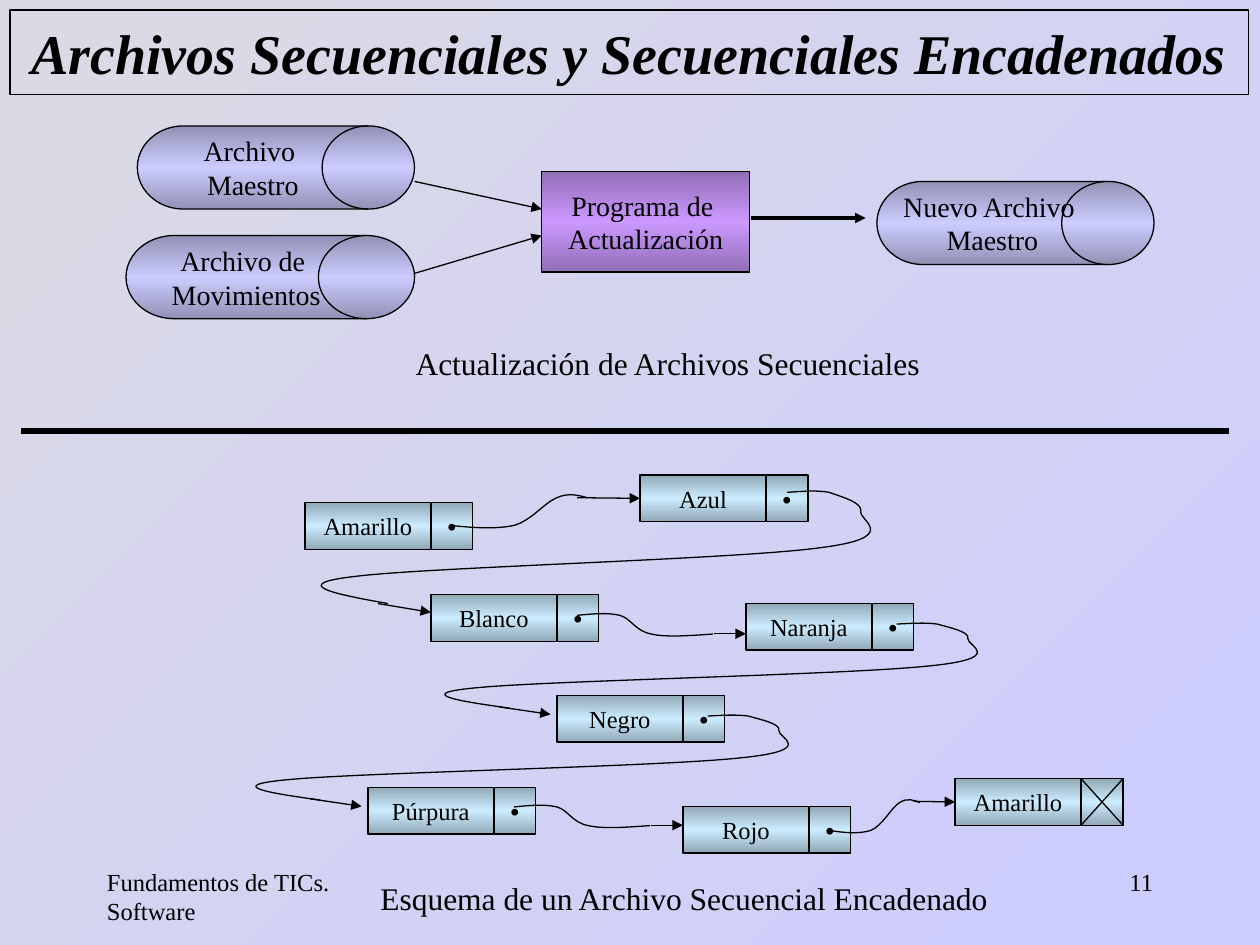
from dataclasses import dataclass

from lxml.etree import SubElement
from pptx import Presentation
from pptx.dml.color import RGBColor
from pptx.enum.shapes import MSO_CONNECTOR, MSO_SHAPE
from pptx.enum.text import MSO_ANCHOR as Anchor, PP_ALIGN as Align
from pptx.oxml.ns import qn
from pptx.util import Inches, Pt


@dataclass(frozen=True)
class Theme:
    font: str = "Times New Roman"
    ink: str = "000000"
    page_start: str = "DBDAE4"
    page_end: str = "CCCCFF"
    drum: str = "CCCCFF"
    program: str = "CC99FF"
    node: str = "CCECFF"
    edge_shade: str = "46275"
    title: int = 32
    dot: int = 24
    caption: int = 18
    process: int = 16
    small: int = 14
    thin: float = 0.75
    medium: float = 2
    thick: float = 3


THEME = Theme()

TITLE = ("Archivos Secuenciales y Secuenciales Encadenados", (0.8, 1.07, 98.3, 8.93))
PROGRAM = ("Programa de \nActualización", (43, 18.13, 16.5, 10.67))
DRUMS = [
    ("Archivo \nMaestro", (10.9, 13.33, 22, 8.8)),
    ("Archivo de \nMovimientos", (10, 24.93, 22.9, 8.8)),
    ("Nuevo Archivo \nMaestro", (69.6, 19.2, 22, 8.8)),
]
NOTES = [
    ("Fundamentos de TICs. Software", (7.5, 91.07, 20.8, 6.67), THEME.small, Align.LEFT),
    ("11", (71.7, 91.07, 20.8, 6.67), THEME.small, Align.RIGHT),
    ("Actualización de Archivos Secuenciales", (32, 35.73, 47.7, 5.33), THEME.caption, Align.LEFT),
    ("Esquema de un Archivo Secuencial Encadenado", (29.2, 92.4, 57.5, 5.33), THEME.caption, Align.LEFT),
]
FLOWS = [
    ((32.9, 19.2), (43, 22.13), THEME.thin),
    ((32.9, 28.93), (43, 24.93), THEME.thin),
    ((59.6, 23.07), (68.7, 23.07), THEME.medium),
]
RULE = ((1.7, 45.6), (97.5, 45.6))

NODE_WIDTH, POINTER_WIDTH, NODE_HEIGHT = 10, 3.33, 4.93
NODES = [
    ("Amarillo", 24.2, 53.2),
    ("Azul", 50.8, 50.27),
    ("Blanco", 34.2, 62.93),
    ("Naranja", 59.2, 63.87),
    ("Negro", 44.2, 73.6),
    ("Púrpura", 29.2, 83.33),
    ("Rojo", 54.2, 85.33),
    ("Amarillo", 75.8, 82.4),
]

RISE = [(0, 89.7), (16.7, 96.6), (33.3, 100), (46.2, 89.7), (59.3, 75.9),
        (68.5, 27.6), (77.8, 13.8), (86.1, 0), (93.5, 6.9), (100, 13.8)]
FALL = [(0, 12), (11.1, 6), (22.2, 0), (31.5, 12), (39.8, 24),
        (42.6, 74), (54.6, 86), (65.7, 100), (83.3, 92), (100, 86)]
LOOP = [(81.4, 2), (83.9, 1), (86.3, 0), (88.2, 2), (90.2, 6), (93.7, 11),
        (93.3, 19), (93.1, 27), (100, 42), (86.5, 51), (72.9, 61), (23.3, 68),
        (11.6, 76), (0, 83), (8.4, 92), (16.7, 100)]
LINKS = [
    (RISE, (35.8, 52.13, 10.8, 3.87), (45.8, 52.67), (50.8, 52.67), 1),
    (LOOP, (22.6, 51.87, 49, 12), (30, 63.87), (34.2, 64.8), None),
    (FALL, (45.8, 64.8, 10.8, 2.67), (56.7, 67.07), (59.2, 67.07), None),
    (LOOP, (32.5, 65.87, 47.5, 9.07), (39.6, 74.8), (43.7, 75.6), None),
    (LOOP, (17.5, 75.6, 47.5, 9.07), (24.6, 84.53), (28.7, 85.33), None),
    (FALL, (40.8, 85.07, 10.8, 2.67), (51.7, 87.33), (54.2, 87.33), None),
    (RISE, (65.8, 84.4, 7.2, 3.87), (72.5, 84.8), (75.8, 84.8), 7),
]

deck = Presentation()
deck.slide_width, deck.slide_height = Inches(10), Inches(7.5)
page = deck.slides.add_slide(deck.slide_layouts[6])


def place(*shares):
    sides = (deck.slide_width, deck.slide_height)
    return [int(sides[i % 2] * share / 100) for i, share in enumerate(shares)]


def outline(item, width=THEME.thin):
    item.line.color.rgb = RGBColor.from_string(THEME.ink)
    item.line.width = Pt(width)


def shade(shape, color):
    shape.fill.gradient()
    shape.fill.gradient_angle = 270
    stops = shape._element.spPr.find(".//" + qn("a:gsLst"))
    stops.clear()
    for position, dark in ((0, True), (50000, False), (100000, True)):
        stop = SubElement(stops, qn("a:gs"), pos=str(position))
        tone = SubElement(stop, qn("a:srgbClr"), val=color)
        if dark:
            SubElement(tone, qn("a:shade"), val=THEME.edge_shade)


def write(shape, text, size, align=Align.CENTER, bold=False, italic=False, wrap=False):
    frame = shape.text_frame
    frame.text = text
    frame.word_wrap = wrap
    for para in frame.paragraphs:
        para.alignment = align
        for span in para.runs:
            font = span.font
            font.name, font.size = THEME.font, Pt(size)
            font.bold, font.italic = bold, italic
            font.color.rgb = RGBColor.from_string(THEME.ink)


def add_box(kind, area, color=None):
    box = page.shapes.add_shape(kind, *place(*area))
    box.shadow.inherit = False
    box.text_frame.vertical_anchor = Anchor.MIDDLE
    outline(box)
    if color:
        shade(box, color)
    else:
        box.fill.background()
    return box


def add_line(start, end, width=THEME.thin, arrow=False):
    line = page.shapes.add_connector(MSO_CONNECTOR.STRAIGHT, *place(*start, *end))
    outline(line, width)
    if arrow:
        SubElement(line.line._get_or_add_ln(), qn("a:tailEnd"), type="triangle")
    SubElement(line._element.spPr, qn("a:effectLst"))
    return line


def add_curve(points, area):
    left, top, width, height = area
    spots = [place(left + width * x / 100, top + height * y / 100) for x, y in points]
    builder = page.shapes.build_freeform(*spots[0])
    builder.add_line_segments(spots[1:], close=False)
    curve = builder.convert_to_shape()
    curve.shadow.inherit = False
    curve.fill.background()
    outline(curve)
    route = curve._element.spPr.find(".//" + qn("a:path"))
    segments = route.findall(qn("a:lnTo"))
    for first in range(0, len(segments), 3):
        bezier = SubElement(route, qn("a:cubicBezTo"))
        for segment in segments[first:first + 3]:
            bezier.append(segment[0])
            route.remove(segment)


def add_node(name, left, top, last):
    label = add_box(MSO_SHAPE.RECTANGLE, (left, top, NODE_WIDTH, NODE_HEIGHT), THEME.node)
    write(label, name, THEME.small)
    middle = left + NODE_WIDTH
    right, bottom = middle + POINTER_WIDTH, top + NODE_HEIGHT
    pointer = add_box(MSO_SHAPE.RECTANGLE, (middle, top, POINTER_WIDTH, NODE_HEIGHT), THEME.node)
    if last:
        add_line((middle, bottom), (right, top))
        add_line((middle, top), (right, bottom))
    else:
        frame = pointer.text_frame
        frame.vertical_anchor = Anchor.TOP
        frame.margin_top, frame.margin_bottom = 0, Inches(0.59)
        write(pointer, ".", THEME.dot, bold=True)
    return label


backdrop = page.background.fill
backdrop.gradient()
backdrop.gradient_angle = 315
for stop, color, position in zip(backdrop.gradient_stops, (THEME.page_start, THEME.page_end), (0, 1)):
    stop.color.rgb = RGBColor.from_string(color)
    stop.position = position

write(add_box(MSO_SHAPE.RECTANGLE, TITLE[1]), TITLE[0], THEME.title, bold=True, italic=True, wrap=True)
write(add_box(MSO_SHAPE.RECTANGLE, PROGRAM[1], THEME.program), PROGRAM[0], THEME.process)
for text, area in DRUMS:
    write(add_box(MSO_SHAPE.FLOWCHART_DIRECT_ACCESS_STORAGE, area, THEME.drum), text, THEME.process)
for text, area, size, align in NOTES:
    write(page.shapes.add_textbox(*place(*area)), text, size, align, wrap=True)
for start, end, width in FLOWS:
    add_line(start, end, width, arrow=True)
add_line(*RULE, THEME.thick)

labels = [add_node(*node, last=node is NODES[-1]) for node in NODES]
for points, area, start, end, target in LINKS:
    add_curve(points, area)
    arrow = add_line(start, end, arrow=True)
    if target is not None:
        arrow.end_connect(labels[target], 1)

deck.save("out.pptx")
